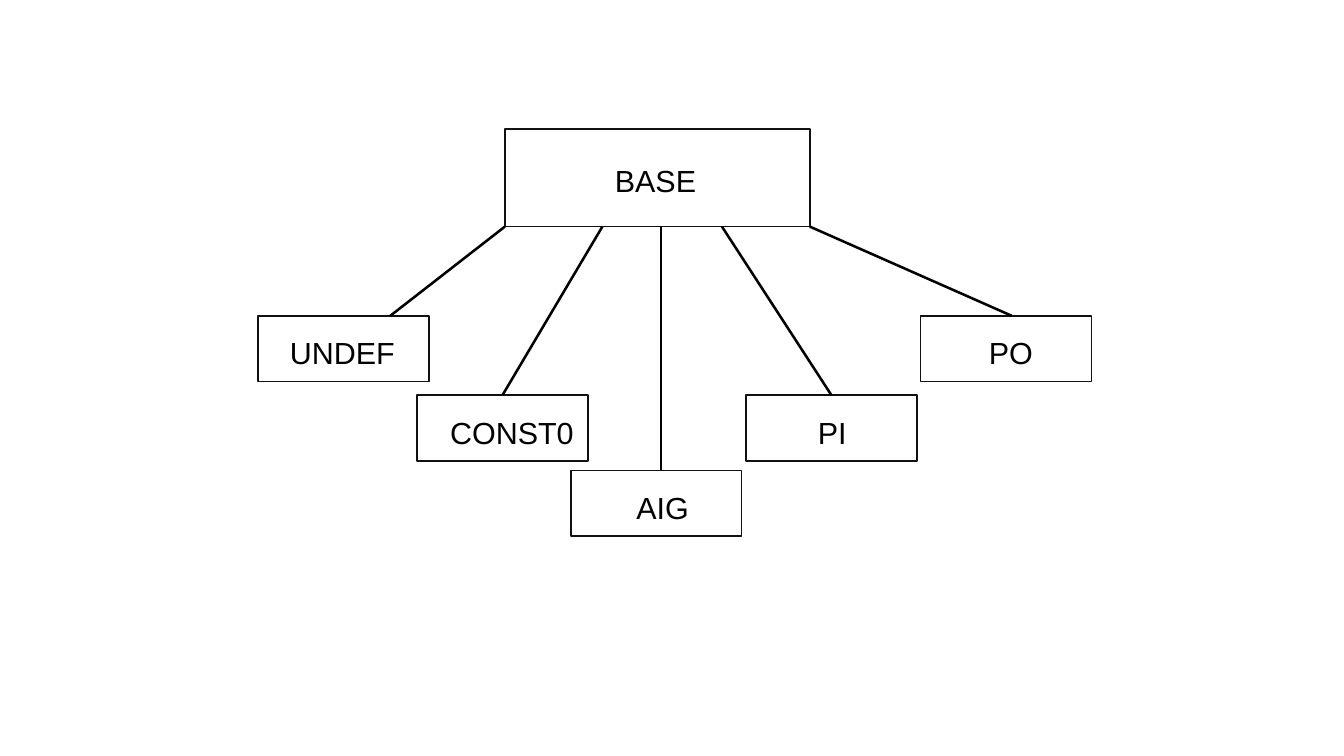
from pptx import Presentation
from pptx.dml.color import RGBColor
from pptx.enum.shapes import MSO_CONNECTOR as CONNECTOR, MSO_SHAPE as SHAPE
from pptx.enum.text import MSO_ANCHOR as ANCHOR, PP_ALIGN as ALIGN
from pptx.oxml.ns import qn
from pptx.util import Cm, Pt
from lxml.etree import SubElement

BLACK = RGBColor(0x00, 0x00, 0x00)
OUTLINE = RGBColor(0x11, 0x11, 0x11)

BASE_LEFT, BASE_TOP, BASE_WIDTH, BASE_HEIGHT = 10.52, 2.69, 6.35, 2.03
BASE_BOTTOM = BASE_TOP + BASE_HEIGHT
NODE_WIDTH, NODE_HEIGHT = 3.56, 1.37
TOP_ROW, MIDDLE_ROW, BOTTOM_ROW = 6.58, 8.23, 9.8

# label, left, top, label indent, line start x, line end x (None: middle of the top side)
NODES = [
    ("UNDEF", 5.38, TOP_ROW, 0.66, BASE_LEFT, 8.13),
    ("CONST0", 8.69, MIDDLE_ROW, 0.69, 12.55, None),
    ("AIG", 11.89, BOTTOM_ROW, 1.37, 13.77, 13.77),
    ("PI", 15.54, MIDDLE_ROW, 1.5, 15.04, None),
    ("PO", 19.18, TOP_ROW, 1.42, BASE_LEFT + BASE_WIDTH, 21.08),
]

prs = Presentation()
prs.slide_width, prs.slide_height = Cm(28), Cm(15.75)
slide = prs.slides.add_slide(prs.slide_layouts[6])


def add_box(label, left, top, width, height, indent, drop):
    """Outlined box whose label starts indent from its left and drop from its top."""
    box = slide.shapes.add_shape(SHAPE.RECTANGLE, Cm(left), Cm(top), Cm(width), Cm(height))
    box.shadow.inherit = False
    box.fill.background()
    box.line.color.rgb = OUTLINE
    box.line.width = Pt(1)
    frame = box.text_frame
    frame.word_wrap = True
    frame.vertical_anchor = ANCHOR.TOP
    frame.margin_left, frame.margin_top = Cm(indent), Cm(drop)
    frame.margin_right = frame.margin_bottom = 0
    paragraph = frame.paragraphs[0]
    paragraph.alignment = ALIGN.LEFT
    run = paragraph.add_run()
    run.text = label
    run.font.name = "Arial"
    run.font.size = Pt(18)
    run.font.color.rgb = BLACK
    return box


add_box("BASE", BASE_LEFT, BASE_TOP, BASE_WIDTH, BASE_HEIGHT, 2.29, 0.69)

for label, left, top, indent, start_x, end_x in NODES:
    node = add_box(label, left, top, NODE_WIDTH, NODE_HEIGHT, indent, 0.39)
    branch = slide.shapes.add_connector(
        CONNECTOR.STRAIGHT, Cm(start_x), Cm(BASE_BOTTOM), Cm(end_x or left), Cm(top))
    if end_x is None:
        branch.end_connect(node, 0)
    branch.line.color.rgb = BLACK
    branch.line.width = Pt(1.5)
    SubElement(branch._element.spPr, qn("a:effectLst"))

prs.save("out.pptx")
